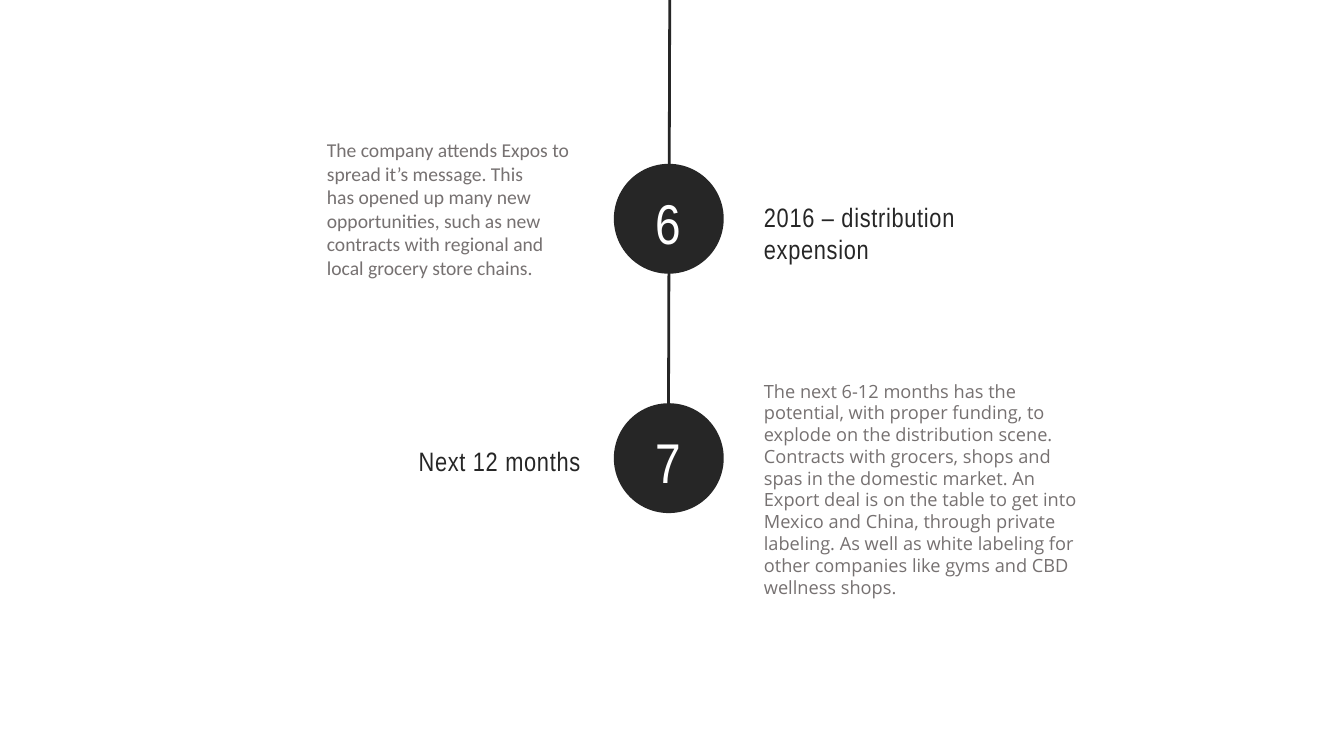
from dataclasses import dataclass

from pptx import Presentation
from pptx.dml.color import RGBColor
from pptx.enum import shapes, text
from pptx.oxml import ns, xmlchemy
from pptx.util import Pt

ALIGN = text.PP_ALIGN


@dataclass(frozen=True)
class Style:
    font: str
    size: float
    color: RGBColor
    tracking: int = 0
    leading: float = None


@dataclass(frozen=True)
class Theme:
    ink = RGBColor(0x26, 0x26, 0x26)
    paper = RGBColor(0xFF, 0xFF, 0xFF)
    grey = RGBColor(0x76, 0x71, 0x71)
    number = Style("Arial Narrow", 80, paper, 100)
    heading = Style("Arial Narrow", 38, ink, 100)
    story = Style("Calibri", 28, grey)
    outlook = Style("Open Sans", 26, grey, leading=31.1)
    line_width = 4


THEME = Theme()
DOT = 157
LEFT_GAP, RIGHT_GAP = 40.4, 50.3

MILESTONES = [
    {
        "number": "6",
        "heading": {"side": "right", "drop": 49, "width": 443.5, "height": 53.3,
                    "style": THEME.heading,
                    "lines": ["2016 – distribution expension"]},
        "details": {"side": "left", "drop": -40.3, "width": 376.6, "height": 211,
                    "style": THEME.story,
                    "lines": ["The company attends Expos to spread it’s message. This",
                              "has opened up many new opportunities, such as new "
                              "contracts with regional and local grocery store chains."]},
    },
    {
        "number": "7",
        "heading": {"side": "left", "drop": 55.4, "width": 360, "height": 53.3,
                    "style": THEME.heading, "align": ALIGN.RIGHT,
                    "lines": ["Next 12 months"]},
        "details": {"side": "right", "drop": -36.7, "width": 466.6, "height": 322.6,
                    "style": THEME.outlook,
                    "lines": ["The next 6-12 months has the potential, with proper "
                              "funding, to explode on the distribution scene. Contracts "
                              "with grocers, shops and spas in the domestic market. An "
                              "Export deal is on the table to get into Mexico and China, "
                              "through private labeling. As well as white labeling for "
                              "other companies like gyms and CBD wellness shops."]},
    },
]


def add_copy(slide, box, lines, style, align=ALIGN.LEFT, right_inset=7.2):
    frame = slide.shapes.add_textbox(*map(Pt, box)).text_frame
    frame_format = {"word_wrap": True, "margin_right": Pt(right_inset),
                    "auto_size": text.MSO_AUTO_SIZE.SHAPE_TO_FIT_TEXT}
    for name, value in frame_format.items():
        setattr(frame, name, value)
    frame.text = "\n".join(lines)
    for paragraph in frame.paragraphs:
        paragraph.alignment = align
        if style.leading:
            paragraph.line_spacing = Pt(style.leading)
        for run in paragraph.runs:
            for name, value in {"name": style.font, "size": Pt(style.size)}.items():
                setattr(run.font, name, value)
            run.font.color.rgb = style.color
            if style.tracking:
                run._r.get_or_add_rPr().set("spc", str(style.tracking))


def add_timeline(slide, box):
    left, top, width, height = box
    axis = slide.shapes.add_connector(
        shapes.MSO_CONNECTOR.STRAIGHT,
        Pt(left), Pt(top + height), Pt(left + width), Pt(top))
    axis.line.color.rgb = THEME.ink
    axis.line.width = Pt(THEME.line_width)
    axis._element.spPr.append(xmlchemy.OxmlElement("a:effectLst"))


def add_side_copy(slide, dot_box, side, drop, width, height, **copy):
    left, top, dot_width, _ = dot_box
    if side == "left":
        x = left - LEFT_GAP - width
    else:
        x = left + dot_width + RIGHT_GAP
    add_copy(slide, (x, top + drop, width, height), **copy)


def add_milestone(slide, box, number, heading, details):
    left, top, width, height = box
    dot = slide.shapes.add_shape(shapes.MSO_SHAPE.OVAL, *map(Pt, box))
    dot.shadow.inherit = False
    dot.fill.solid()
    dot.fill.fore_color.rgb = THEME.ink
    dot.line.fill.background()
    add_copy(slide, (left + 47.5, top + 31.7, 60, 104.4), [number],
             THEME.number, ALIGN.CENTER)
    for part in (heading, details):
        add_side_copy(slide, box, **part)


def main():
    deck = Presentation()
    deck.slide_width, deck.slide_height = Pt(1920.24), Pt(1080)
    slide = deck.slides.add_slide(deck.slide_layouts[6])
    slide.background.fill.solid()
    slide.background.fill.fore_color.rgb = THEME.paper
    add_timeline(slide, (954.7, 0, 2.2, 726.5))
    for row, milestone in enumerate(MILESTONES):
        add_milestone(slide, (877, 234 + 342 * row, DOT, DOT), **milestone)
    deck.save("out.pptx")


if __name__ == "__main__":
    main()
